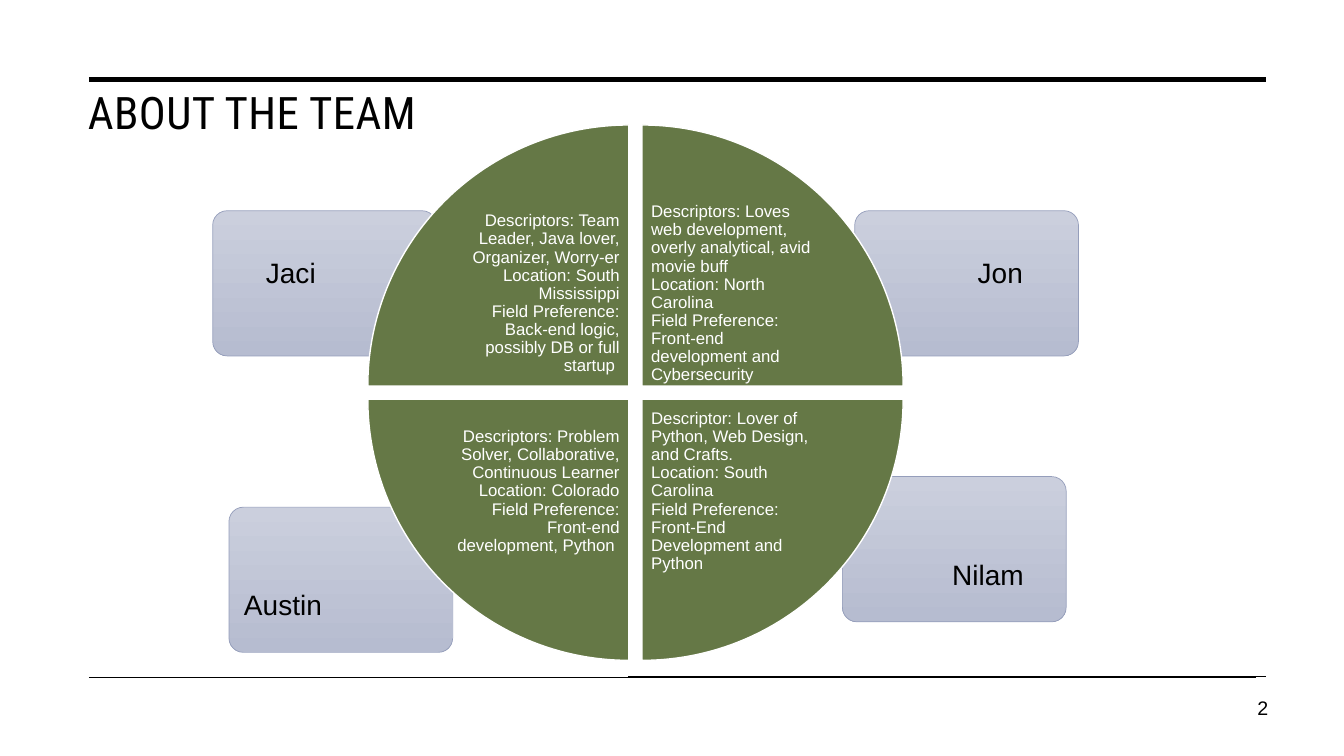
from lxml import etree
from pptx import Presentation
from pptx import util as u
from pptx.dml.color import RGBColor
from pptx.enum import shapes, text
from pptx.oxml.ns import qn

TITLE = "ABOUT THE TEAM"
PAGE_NUMBER = "2"
# name, column, row, card left, card top, wedge rotation, description lines
TEAM = [
    ("Nilam", 1, 1, 21.23, 12.01, 180, [
        "Descriptor: Lover of Python, Web Design, and Crafts. ",
        "Location: South Carolina ",
        "Field Preference: Front-End Development and Python"]),
    ("Austin\t", 0, 1, 5.77, 12.78, 270, [
        "Descriptors: Problem Solver, Collaborative, Continuous Learner "
        "Location: Colorado Field Preference: Front-end development, Python "]),
    ("Jon", 1, 0, 21.54, 5.31, 90, [
        "Descriptors: Loves web development, overly analytical, avid movie buff",
        "Location: North Carolina",
        "Field Preference: Front-end development and Cybersecurity"]),
    ("Jaci", 0, 0, 5.36, 5.31, 0, [
        "Descriptors: Team Leader, Java lover, Organizer, Worry-er",
        "Location: South Mississippi",
        "Field Preference: Back-end logic, possibly DB or full startup "]),
]
# left, right, height, weight
RULES = [(2.24, 31.65, 2, 3.5), (2.24, 31.65, 17.07, 1),
         (15.82, 31.9, 2, 3.5), (15.82, 31.9, 17.04, 1)]

BLACK, WHITE, GREEN = "000000", "FFFFFF", "657846"
CARD_TOP, CARD_BOTTOM, CARD_LINE = "CBCFDD", "B6BCD0", "959EBB"
CARD_W, CARD_H = 5.64, 3.66
LABEL_W, LABEL_H, LABEL_MARGIN = 3.78, 2.59, 0.08
PIE_LEFT, PIE_TOP, WEDGE, GAP = 9.27, 3.15, 6.58, 0.33
NOTE = 4.65


def color(value):
    return RGBColor.from_string(value)


def cm(*lengths):
    return [u.Cm(length) for length in lengths]


def add_run(paragraph, words, size, fill, font="Arial"):
    run = paragraph.add_run()
    run.text = words
    run.font.size, run.font.name = u.Pt(size), font
    run.font.color.rgb = color(fill)
    return run


def add_box(box, lines, size, fill, align, inset=None, anchor=text.MSO_ANCHOR.TOP):
    """Add a wrapped text box of one paragraph and return that paragraph."""
    frame = slide.shapes.add_textbox(*cm(*box)).text_frame
    frame.word_wrap, frame.vertical_anchor = True, anchor
    if inset is not None:
        frame.margin_left = frame.margin_right = u.Cm(inset)
        frame.margin_top = frame.margin_bottom = u.Cm(inset)
    paragraph = frame.paragraphs[0]
    paragraph.alignment = align
    for index, line in enumerate(lines):
        if index:
            paragraph.add_line_break()
        add_run(paragraph, line, size, fill)
    return paragraph


def add_rule(left, right, height, weight):
    rule = slide.shapes.add_connector(
        shapes.MSO_CONNECTOR.STRAIGHT, *cm(left, height, right, height))
    rule.line.color.rgb, rule.line.width = color(BLACK), u.Pt(weight)
    etree.SubElement(rule._element.spPr, qn("a:effectLst"))


def add_card(name, column, row, left, top):
    """Add a name card with its label pinned to the outer corner."""
    card = slide.shapes.add_shape(
        shapes.MSO_SHAPE.ROUNDED_RECTANGLE, *cm(left, top, CARD_W, CARD_H))
    card.adjustments[0] = 0.1
    card.shadow.inherit = False
    card.fill.gradient()
    card.fill.gradient_angle = 270
    for stop, shade in zip(card.fill.gradient_stops, (CARD_TOP, CARD_BOTTOM)):
        stop.color.rgb = color(shade)
    card.line.color.rgb, card.line.width = color(CARD_LINE), u.Pt(0.5)

    label_left = left + (CARD_W - LABEL_W - LABEL_MARGIN if column else LABEL_MARGIN)
    label_top = top + (CARD_H - LABEL_H - LABEL_MARGIN if row else LABEL_MARGIN)
    paragraph = add_box((label_left, label_top, LABEL_W, LABEL_H), [name], 20,
                        BLACK, text.PP_ALIGN.CENTER, 0.2)
    paragraph.line_spacing = 2.0
    properties = paragraph._p.get_or_add_pPr()
    properties.set("marL", str(u.Cm(0.64)))
    properties.set("indent", str(-u.Cm(0.64)))


def add_wedge(column, row, rotation, lines):
    """Add a quarter of the pie with its text pinned to the inner corner."""
    left = PIE_LEFT + column * (WEDGE + GAP)
    top = PIE_TOP + row * (WEDGE + GAP)
    wedge = slide.shapes.add_shape(
        shapes.MSO_SHAPE.PIE_WEDGE, *cm(left, top, WEDGE, WEDGE))
    wedge.rotation = rotation
    wedge.shadow.inherit = False
    wedge.fill.solid()
    wedge.fill.fore_color.rgb = color(GREEN)
    wedge.line.color.rgb, wedge.line.width = color(WHITE), u.Pt(1)

    note_left = left + (1 - column) * (WEDGE - NOTE)
    note_top = top + (1 - row) * (WEDGE - NOTE)
    align = text.PP_ALIGN.LEFT if column else text.PP_ALIGN.RIGHT
    paragraph = add_box((note_left, note_top, NOTE, NOTE), lines, 12, WHITE,
                        align, 0.23, text.MSO_ANCHOR.MIDDLE)
    paragraph.line_spacing = 0.9


presentation = Presentation()
presentation.slide_width, presentation.slide_height = cm(33.87, 19.05)
slide = presentation.slides.add_slide(presentation.slide_layouts[5])

for rule_values in RULES:
    add_rule(*rule_values)

title = slide.shapes.title
title.left, title.top, title.width, title.height = cm(1.96, 2, 9.73, 14.76)
title.text_frame.vertical_anchor = text.MSO_ANCHOR.TOP
title.text_frame.auto_size = text.MSO_AUTO_SIZE.NONE
title_paragraph = title.text_frame.paragraphs[0]
title_paragraph.alignment = text.PP_ALIGN.LEFT
title_run = add_run(title_paragraph, TITLE, 32, BLACK, "Roboto Condensed")
title_run.font._element.set("spc", "30")

add_box((30.33, 17.42, 1.88, 1.63), [PAGE_NUMBER], 14, BLACK, text.PP_ALIGN.RIGHT)

for name, column, row, left, top, rotation, lines in TEAM:
    add_card(name, column, row, left, top)
for name, column, row, left, top, rotation, lines in TEAM:
    add_wedge(column, row, rotation, lines)

presentation.save("out.pptx")
